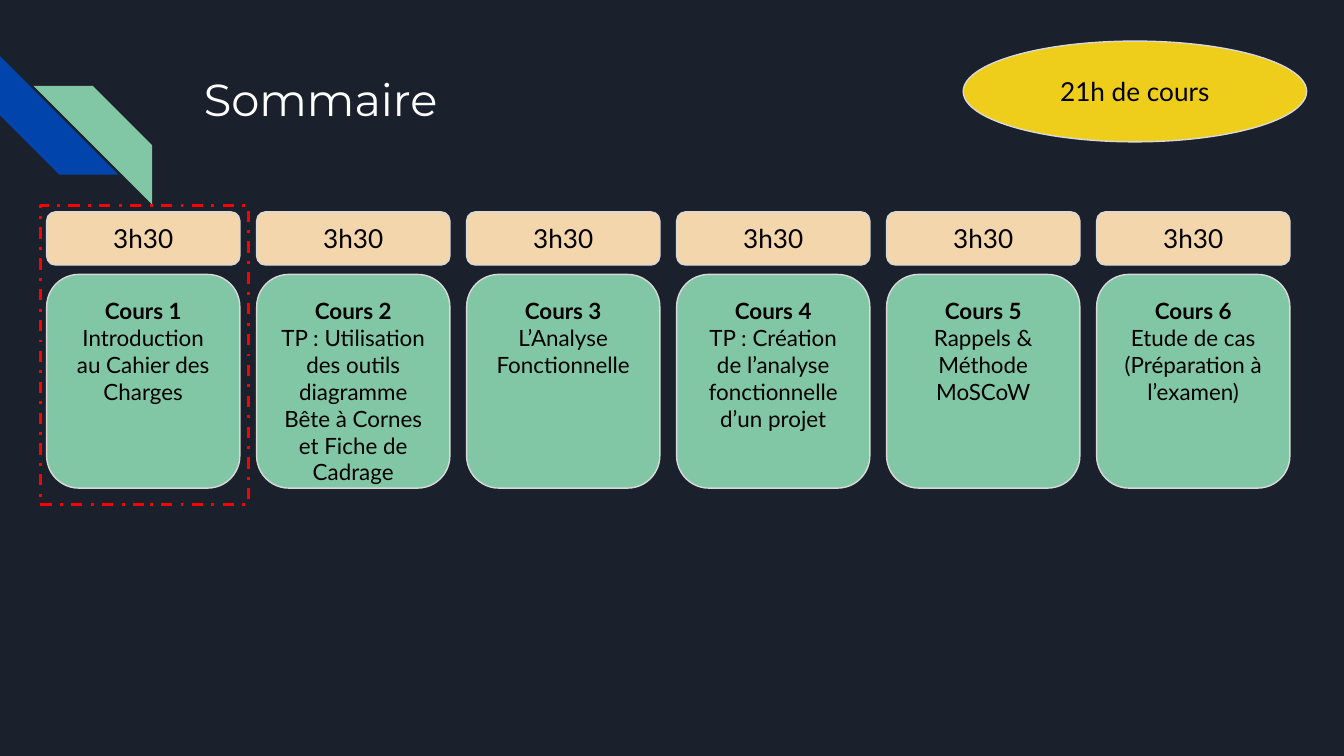
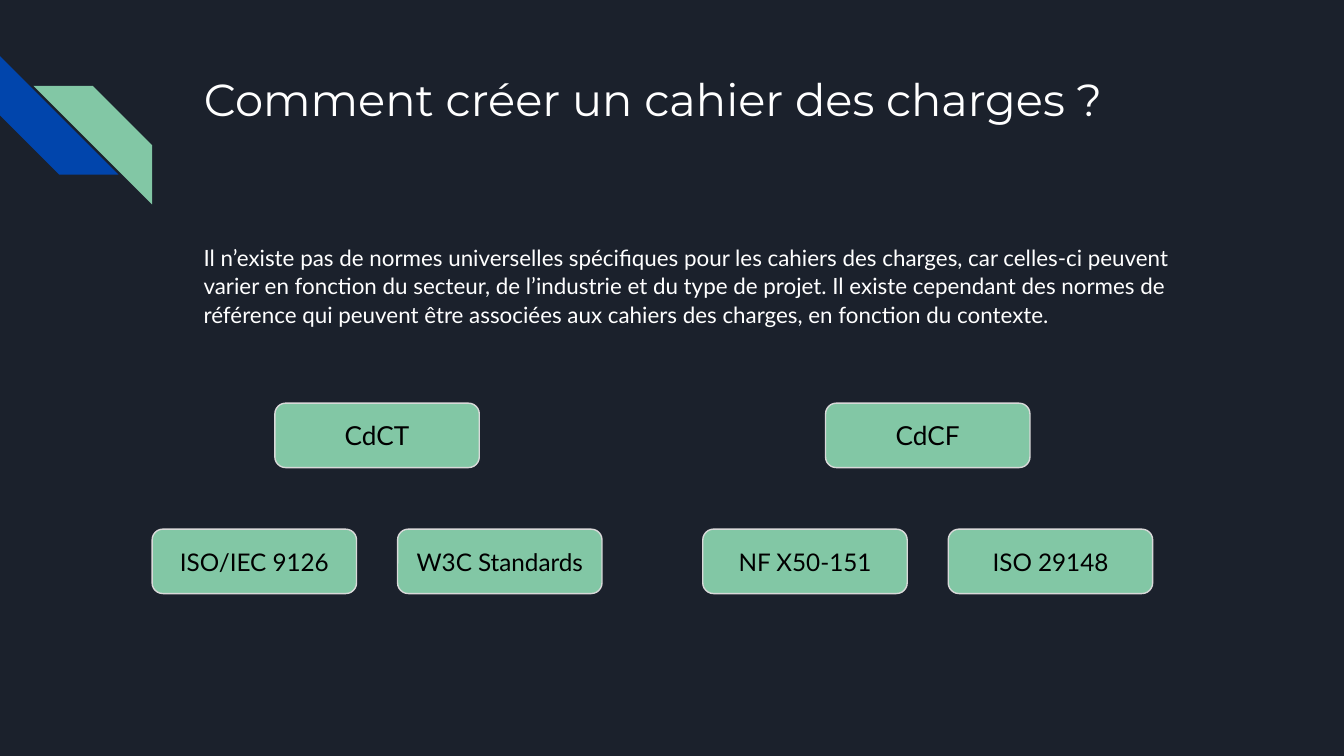
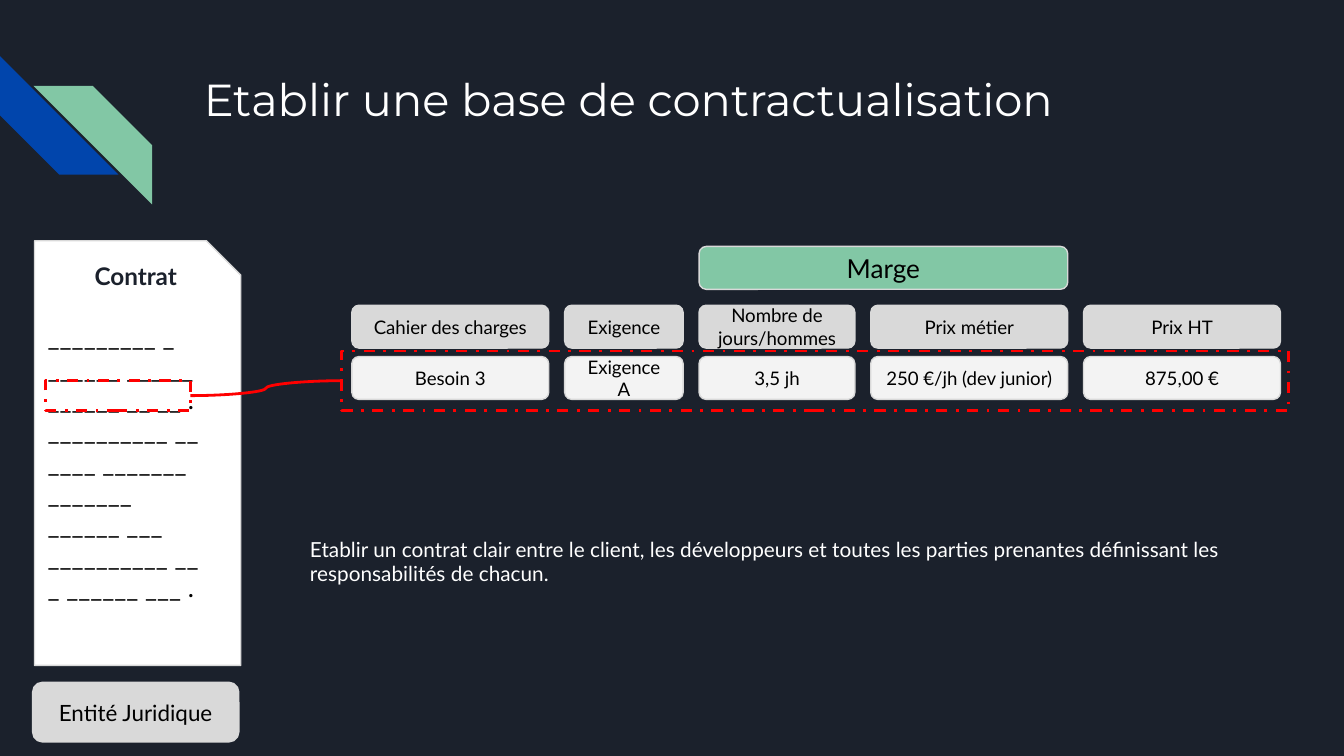
from pptx import Presentation
from pptx.dml.color import RGBColor
from pptx.enum.dml import MSO_LINE
from pptx.enum.shapes import MSO_CONNECTOR, MSO_SHAPE as SHAPE
from pptx.enum.text import MSO_ANCHOR as ANCHOR, MSO_AUTO_SIZE, PP_ALIGN as ALIGN
from pptx.oxml.ns import qn
from pptx.util import Pt
from lxml import etree

NAVY = RGBColor(0x1B, 0x21, 0x2C)
BLUE = RGBColor(0x01, 0x45, 0xAC)
GREEN = RGBColor(0x82, 0xC7, 0xA5)
SAND = RGBColor(0xF4, 0xD6, 0xAD)
YELLOW = RGBColor(0xEE, 0xCE, 0x1A)
RED = RGBColor(0xFF, 0x00, 0x00)
GREY = RGBColor(0xD9, 0xD9, 0xD9)
PALE = RGBColor(0xF3, 0xF3, 0xF3)
WHITE = RGBColor(0xFF, 0xFF, 0xFF)
BLACK = RGBColor(0x00, 0x00, 0x00)

TITLE_FONT, BODY_FONT = "Montserrat", "Lato"
INSET = Pt(7.2)


def write_text(tf, text, size=14, color=BLACK, font=BODY_FONT, align=ALIGN.CENTER,
               anchor=ANCHOR.MIDDLE, bold_lines=0, spacing=None, after=0):
    """Fill a text frame, one paragraph per line; the first bold_lines are bold."""
    tf.word_wrap = True
    tf.auto_size = MSO_AUTO_SIZE.NONE
    tf.vertical_anchor = anchor
    tf.margin_left = tf.margin_right = tf.margin_top = tf.margin_bottom = INSET
    for i, line in enumerate(text.split("\n")):
        p = tf.add_paragraph() if i else tf.paragraphs[0]
        p.alignment = align
        p.space_before, p.space_after = Pt(0), Pt(after)
        if spacing:
            p.line_spacing = spacing
        r = p.add_run()
        r.text = line
        r.font.name, r.font.size, r.font.bold = font, Pt(size), i < bold_lines
        r.font.color.rgb = color


class Deck:
    def __init__(self):
        self.prs = Presentation()
        self.prs.slide_width, self.prs.slide_height = Pt(720), Pt(405)
        fill = self.prs.slide_master.background.fill
        fill.solid()
        fill.fore_color.rgb = NAVY
        self.s = None

    def slide(self, title, width=554.5, height=72):
        self.s = self.prs.slides.add_slide(self.prs.slide_layouts[5])
        blue = self.shape(SHAPE.DIAGONAL_STRIPE, 0, 30, 63.5, 63.5, BLUE, line=None)
        blue.rotation = 270
        green = self.shape(SHAPE.DIAGONAL_STRIPE, 18, 46, 63.5, 63.5, GREEN, line=None)
        green._element.spPr.find(qn("a:xfrm")).set("flipH", "1")
        sp = self.s.shapes.title
        sp.left, sp.top, sp.width, sp.height = Pt(102), Pt(31), Pt(width), Pt(height)
        write_text(sp.text_frame, title, size=24, color=WHITE, font=TITLE_FONT,
                   align=ALIGN.LEFT, anchor=ANCHOR.TOP)

    def shape(self, kind, x, y, w, h, fill, text=None, line=GREY, **fmt):
        sp = self.s.shapes.add_shape(kind, Pt(x), Pt(y), Pt(w), Pt(h))
        sp.shadow.inherit = False
        if fill is None:
            sp.fill.background()
        else:
            sp.fill.solid()
            sp.fill.fore_color.rgb = fill
        if line is None:
            sp.line.fill.background()
        else:
            sp.line.color.rgb = line
            sp.line.width = Pt(0.75)
        if text:
            write_text(sp.text_frame, text, **fmt)
        return sp

    def box(self, x, y, w, h, fill, text, **fmt):
        return self.shape(SHAPE.ROUNDED_RECTANGLE, x, y, w, h, fill, text, **fmt)

    def frame(self, x, y, w, h):
        """Red dash-dot outline that marks an area."""
        sp = self.shape(SHAPE.RECTANGLE, x, y, w, h, None, line=RED)
        sp.line.width = Pt(1.5)
        sp.line.dash_style = MSO_LINE.DASH_DOT
        return sp

    def label(self, x, y, w, h, text, **fmt):
        tb = self.s.shapes.add_textbox(Pt(x), Pt(y), Pt(w), Pt(h))
        write_text(tb.text_frame, text, **{"anchor": ANCHOR.TOP, **fmt})

    def curve(self, start, end):
        """Join the right side of one shape to the left side of another."""
        c = self.s.shapes.add_connector(MSO_CONNECTOR.CURVE, 0, 0, 0, 0)
        c.begin_connect(start, 3)
        c.end_connect(end, 1)
        c.line.color.rgb = RED
        c.line.width = Pt(1.5)
        etree.SubElement(c._element.spPr, qn("a:effectLst"))


def add_summary(deck):
    deck.slide("Sommaire", width=188, height=45.5)
    topics = [
        "Introduction au Cahier des Charges",
        "TP : Utilisation des outils diagramme Bête à Cornes et Fiche de Cadrage",
        "L’Analyse Fonctionnelle",
        "TP : Création de l’analyse fonctionnelle d’un projet",
        "Rappels & Méthode MoSCoW",
        "Etude de cas (Préparation à l’examen)",
    ]
    for i, topic in enumerate(topics):
        x = 25 + 112.5 * i
        deck.box(x, 147, 103.5, 114.5, GREEN, f"Cours {i + 1}\n{topic}",
                 size=12, anchor=ANCHOR.TOP, bold_lines=1)
        deck.box(x, 113.5, 103.5, 28.5, SAND, "3h30")
    deck.shape(SHAPE.OVAL, 516, 22, 184, 54, YELLOW, "21h de cours")
    deck.frame(21.5, 110, 111.5, 160.5)


def add_standards(deck):
    deck.slide("Comment créer un cahier des charges ?")
    deck.label(102, 123, 564, 72,
               "Il n’existe pas de normes universelles spécifiques pour les cahiers des "
               "charges, car celles-ci peuvent varier en fonction du secteur, de "
               "l’industrie et du type de projet. Il existe cependant des normes de "
               "référence qui peuvent être associées aux cahiers des charges, en "
               "fonction du contexte.",
               size=12, color=WHITE, align=ALIGN.LEFT, spacing=1.05, after=12)
    groups = {"CdCT": ["ISO/IEC 9126", "W3C Standards"],
              "CdCF": ["NF X50-151", "ISO 29148"]}
    w, h, pitch = 109.5, 34.5, 131.5
    for i, (parent, norms) in enumerate(groups.items()):
        x = 81.5 + 295 * i
        deck.box(x + pitch / 2, 216, w, h, GREEN, parent)
        for j, norm in enumerate(norms):
            deck.box(x + pitch * j, 283.5, w, h, GREEN, norm, size=13)


def add_contract(deck):
    deck.slide("Etablir une base de contractualisation")
    deck.label(159, 281.5, 554.5, 53.5,
               "Etablir un contrat clair entre le client, les développeurs et toutes les "
               "parties prenantes définissant les responsabilités de chacun.",
               size=11.1, color=WHITE, align=ALIGN.LEFT, spacing=0.95, after=12)
    deck.shape(SHAPE.SNIP_1_RECTANGLE, 18.5, 129, 110.5, 227.5, WHITE,
               "_________ _ ______ ___ __ ______ __ __ . __________ __ ____ _______ "
               "_______ ______ ___ __________ __ _ ______ ___ .", align=ALIGN.LEFT)
    deck.label(31, 133, 83.5, 23, "Contrat", size=13, color=NAVY, bold_lines=1)
    deck.box(17.5, 365.5, 110.5, 32, GREY, "Entité Juridique", size=12)
    clause = deck.frame(24.5, 204, 77.5, 16)

    columns = [
        (105.5, "Cahier des charges", "Besoin 3"),
        (63.5, "Exigence", "Exigence A"),
        (83.5, "Nombre de jours/hommes", "3,5 jh"),
        (105.5, "Prix métier", "250 €/jh (dev junior)"),
        (105.5, "Prix HT", "875,00 €"),
    ]
    x, gap, h = 188.5, 8.5, 23
    for w, heading, value in columns:
        deck.box(x, 163.5, w, h, GREY, heading, size=10)
        deck.box(x, 191, w, h, PALE, value, size=10)
        x += w + gap
    deck.box(374.5, 132, 197.5, h, GREEN, "Marge")
    deck.curve(clause, deck.frame(183, 188, 507.5, 32))


def main():
    deck = Deck()
    add_summary(deck)
    add_standards(deck)
    add_contract(deck)
    deck.prs.save("out.pptx")


if __name__ == "__main__":
    main()
